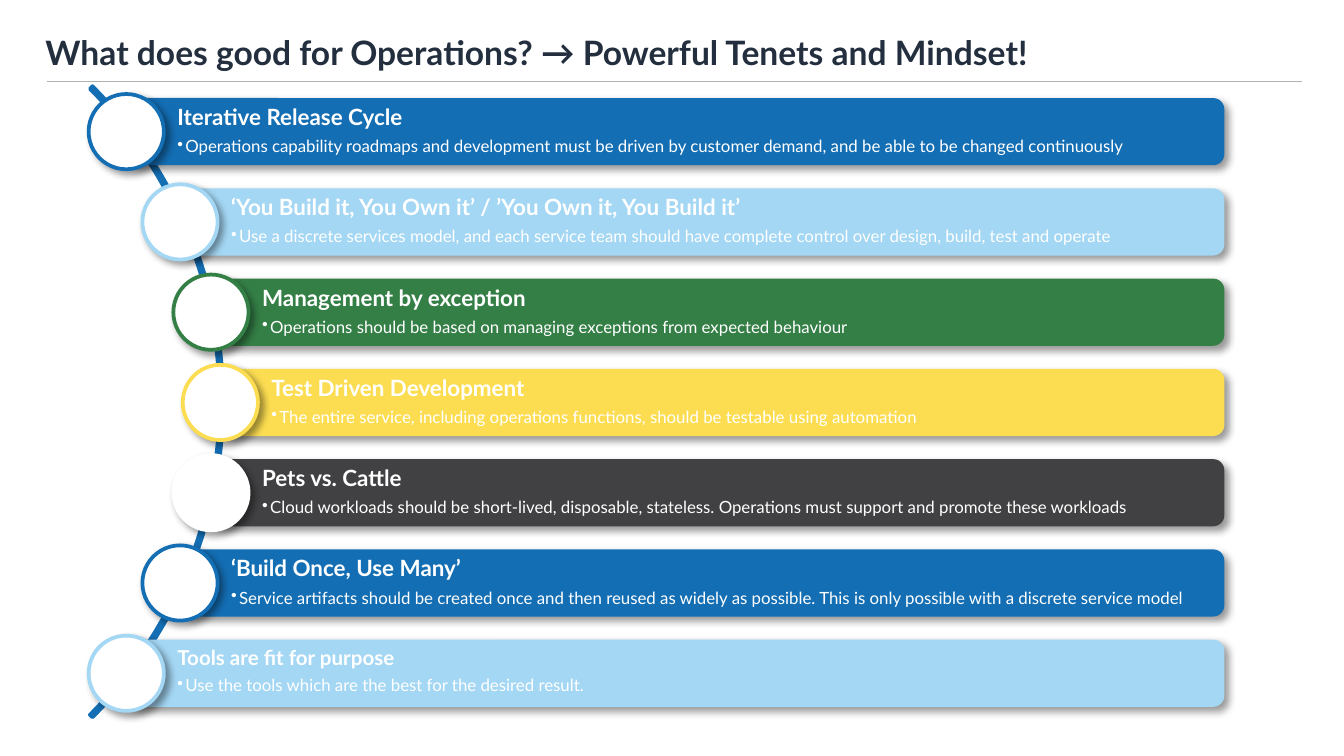
from lxml import etree
from pptx import Presentation
from pptx import util as u
from pptx.dml.color import RGBColor
from pptx.enum import shapes, text
from pptx.oxml import ns

WHITE = RGBColor(0xFF, 0xFF, 0xFF)
INK = RGBColor(0x23, 0x2F, 0x3E)
RULE_GREY = RGBColor(0xB0, 0xB0, 0xB0)
BLUE = RGBColor(0x14, 0x6E, 0xB4)
SKY = RGBColor(0xA4, 0xD7, 0xF4)
GREEN = RGBColor(0x34, 0x7F, 0x46)
YELLOW = RGBColor(0xFC, 0xDD, 0x51)
CHARCOAL = RGBColor(0x41, 0x40, 0x42)

# Heading, heading size, statement, bar colour, ring colour
TENETS = [
    ("Iterative Release Cycle", 12,
     "Operations capability roadmaps and development must be driven by customer demand, "
     "and be able to be changed continuously", BLUE, BLUE),
    ("‘You Build it, You Own it’ / ’You Own it, You Build it’", 12,
     "Use a discrete services model, and each service team should have complete control "
     "over design, build, test and operate", SKY, SKY),
    ("Management by exception", 12,
     "Operations should be based on managing exceptions from expected behaviour",
     GREEN, GREEN),
    ("Test Driven Development", 12,
     "The entire service, including operations functions, should be testable using automation",
     YELLOW, YELLOW),
    ("Pets vs. Cattle", 12,
     "Cloud workloads should be short-lived, disposable, stateless. "
     "Operations must support and promote these workloads", CHARCOAL, WHITE),
    ("‘Build Once, Use Many’", 12,
     "Service artifacts should be created once and then reused as widely as possible. "
     "This is only possible with a discrete service model", BLUE, BLUE),
    ("Tools are fit for purpose", 11,
     "Use the tools which are the best for the desired result.", SKY, SKY),
]

# Row geometry in inches
FIRST_CENTER, LAST_CENTER = 0.98, 5.01
PITCH = (LAST_CENTER - FIRST_CENTER) / (len(TENETS) - 1)
BAR_LEFTS = [1.64, 1.57, 1.34, 0.94]  # by number of rows away from the middle
BAR_RIGHT, BAR_HEIGHT = 9.11, 0.5
RING = 0.56


def write(paragraph, words, *, size, color=WHITE, bold=False, bullet=False,
          line_spacing=None, space_after=None):
    """Fill a paragraph with text in the given format."""
    if bullet:
        properties = paragraph._p.get_or_add_pPr()
        properties.set("marL", str(u.Inches(0.06)))
        properties.set("indent", str(u.Inches(-0.06)))
        etree.SubElement(properties, ns.qn("a:buChar")).set("char", "•")
    paragraph.line_spacing = line_spacing
    paragraph.space_after = space_after
    run = paragraph.add_run()
    run.text = words
    for font in (paragraph.font, run.font):
        font.name, font.size, font.bold = "Lato", u.Pt(size), bold
        font.color.rgb = color


class Canvas:
    def __init__(self, slide):
        self.slide = slide

    def shape(self, kind, left, top, width, height, fill=None, line=None, shadow=False):
        shape = self.slide.shapes.add_shape(
            kind, u.Inches(left), u.Inches(top), u.Inches(width), u.Inches(height))
        if fill is None:
            shape.fill.background()
        else:
            shape.fill.solid()
            shape.fill.fore_color.rgb = fill
        if line is None:
            shape.line.fill.background()
        else:
            shape.line.color.rgb = line
            shape.line.width = u.Pt(2)
        shape.shadow.inherit = False
        if shadow:
            self.drop_shadow(shape)
        return shape

    def drop_shadow(self, shape):
        effects = shape._element.spPr.find(ns.qn("a:effectLst"))
        outer = etree.SubElement(effects, ns.qn("a:outerShdw"), blurRad=str(u.Pt(4)),
                                 dist=str(u.Pt(3)), dir="2700000", rotWithShape="0")
        color = etree.SubElement(outer, ns.qn("a:srgbClr"), val="000000")
        etree.SubElement(color, ns.qn("a:alpha"), val="40000")

    def rule(self, left, right, y):
        line = self.slide.shapes.add_connector(
            shapes.MSO_CONNECTOR.STRAIGHT,
            u.Inches(left), u.Inches(y), u.Inches(right), u.Inches(y))
        line.line.color.rgb = RULE_GREY
        line.line.width = u.Pt(0.5)
        etree.SubElement(line._element.spPr, ns.qn("a:effectLst"))

    def text_frame(self, left, top, width, height, insets):
        box = self.slide.shapes.add_textbox(
            u.Inches(left), u.Inches(top), u.Inches(width), u.Inches(height))
        frame = box.text_frame
        frame.word_wrap = True
        frame.vertical_anchor = text.MSO_ANCHOR.TOP
        (frame.margin_left, frame.margin_top,
         frame.margin_right, frame.margin_bottom) = [u.Inches(inset) for inset in insets]
        return frame

    def tenet(self, left, center, heading, size, statement, bar_color, ring_color):
        self.shape(shapes.MSO_SHAPE.ROUNDED_RECTANGLE, left, center - BAR_HEIGHT / 2,
                   BAR_RIGHT - left, BAR_HEIGHT, fill=bar_color, shadow=True)
        frame = self.text_frame(left + 0.02, center - 0.22, BAR_RIGHT - left - 0.05, 0.45,
                                (0.36, 0.03, 0.03, 0.03))
        write(frame.paragraphs[0], heading, size=size, bold=True,
              line_spacing=0.9, space_after=u.Pt(0.35 * size))
        write(frame.add_paragraph(), statement, size=9, bullet=True, line_spacing=0.9)
        self.shape(shapes.MSO_SHAPE.OVAL, left - RING / 2, center - RING / 2, RING, RING,
                   fill=WHITE, line=ring_color, shadow=True)


def main():
    # Widescreen 16:9 slide
    presentation = Presentation()
    presentation.slide_width = u.Inches(10)
    presentation.slide_height = u.Inches(10 * 9 / 16)
    canvas = Canvas(presentation.slides.add_slide(presentation.slide_layouts[6]))

    # Title and rule
    title = canvas.text_frame(0.24, 0.19, 8.4, 0.56, (0.1, 0.05, 0.1, 0.05))
    write(title.paragraphs[0],
          "What does good for Operations? → Powerful Tenets and Mindset!",
          size=18, color=INK, bold=True)
    canvas.rule(0.35, 9.69, 0.61)

    # Arc behind the rings, from 315 to 45 degrees
    arc = canvas.shape(shapes.MSO_SHAPE.BLOCK_ARC, -4.98, -0.33, 6.64, 6.64, line=BLUE)
    for index, value in enumerate((189, 27, 0.004)):
        arc.adjustments[index] = value

    # Tenets along the arc
    middle = len(TENETS) // 2
    for row, tenet in enumerate(TENETS):
        canvas.tenet(BAR_LEFTS[abs(row - middle)], FIRST_CENTER + row * PITCH, *tenet)

    presentation.save("out.pptx")


if __name__ == "__main__":
    main()
